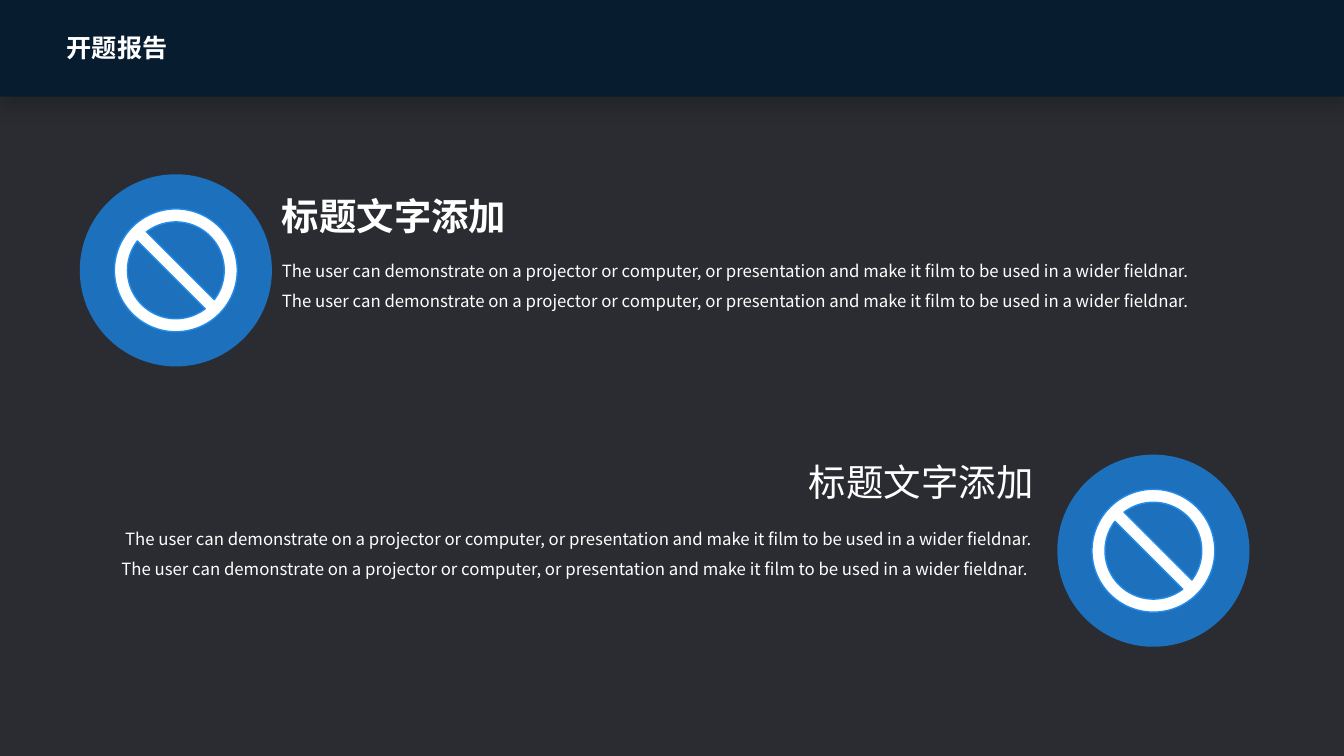
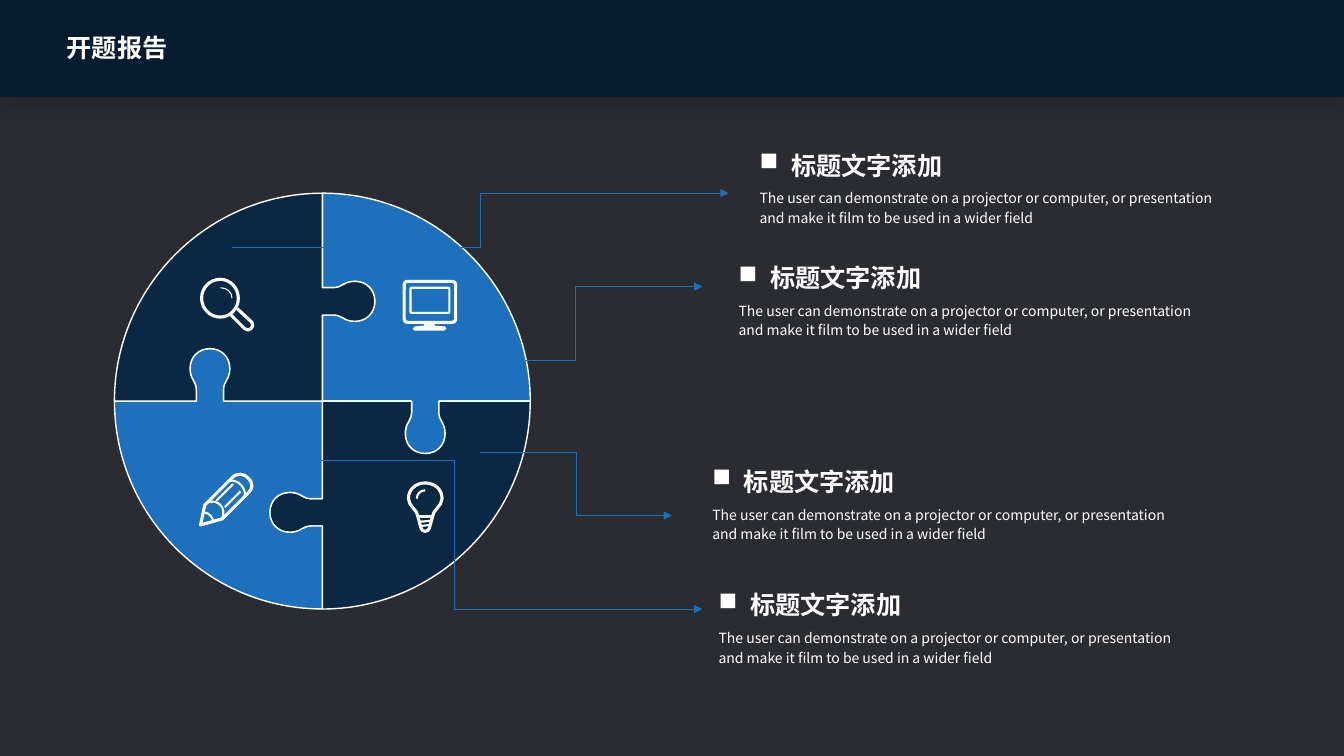
import math
from dataclasses import dataclass
from typing import Optional

import pptx
import pptx.dml.color
import pptx.enum.shapes
import pptx.enum.text
import pptx.oxml.ns
import pptx.util
from lxml import etree

PX = 9525  # EMU in one px
WIDTH, HEIGHT = 1280, 720
FONT = "Noto Sans CJK SC"
GROUND, BAND, NAVY, BLUE, EDGE, WHITE = "2B2C31", "071C2F", "0A2843", "1D70BB", "248BE8", "FFFFFF"

SHAPE = pptx.enum.shapes.MSO_SHAPE
ALIGN = pptx.enum.text.PP_ALIGN
qn = pptx.oxml.ns.qn

Point = tuple[float, float]
HEADING = "标题文字添加"
SENTENCE = ("The user can demonstrate on a projector or computer, or presentation "
            "and make it film to be used in a wider field")
FEATURE_BODY = f"{SENTENCE}nar. {SENTENCE}nar."


@dataclass(frozen=True)
class Feature:
    disc: Point
    heading: Point
    body: Point
    text: str
    align: Optional[ALIGN]
    bold: bool


@dataclass(frozen=True)
class Callout:
    text: Point
    start: Point
    end: Point


@dataclass(frozen=True)
class Quarter:
    """A puzzle piece, clockwise from its first seam, whose knob sits at the given distance."""
    knob: int
    color: str


@dataclass(frozen=True)
class Contour:
    """Segments of one point are straight, those of three points are cubic curves."""
    start: Point
    segments: tuple
    closed: bool = False


@dataclass(frozen=True)
class Stroke:
    width: int
    contours: list[Contour]


FEATURES = [
    Feature((76, 166), (259, 179), (259, 234), FEATURE_BODY, None, True),
    Feature((1007, 433), (760, 433), (95, 489), FEATURE_BODY + " ", ALIGN.RIGHT, False),
]
DISC, SIGN = 183, 117

CALLOUTS = [
    Callout((714, 138), (221, 236), (694, 184)),
    Callout((694, 245), (428, 343), (669, 273)),
    Callout((675, 557), (196, 438), (669, 580)),
    Callout((669, 439), (457, 431), (640, 491)),
]

CENTRE, RADIUS = (307, 382), 198
ARC = 0.55  # handle length of a quarter arc, in radii
QUARTERS = [Quarter(95, BLUE), Quarter(98, NAVY), Quarter(106, BLUE), Quarter(107, NAVY)]
# Half of a knob: (distance from its axis, height above the seam)
KNOB_START = (13, 0)
KNOB_SEGMENTS = (
    ((13, 10),),
    ((13, 14), (14, 17), (16, 20)),
    ((18, 23), (19, 27), (19, 31)),
    ((19, 42), (11, 50), (0, 50)),
)

ICON_STROKES = [
    # Magnifier
    Stroke(3, [
        Contour((192, 284), (((192, 274), (200, 266), (210, 266)), ((219, 266), (227, 274), (227, 284)),
                             ((227, 294), (219, 302), (210, 302)), ((200, 302), (192, 294), (192, 284))),
                True),
        Contour((226, 294), (((240, 307),), ((243, 311), (237, 317), (233, 313)), ((220, 300),))),
    ]),
    Stroke(1, [Contour((210, 274), (((216, 274), (221, 278), (221, 284)),))]),
    # Pencil
    Stroke(3, [
        Contour((191, 500), (((195, 481),), ((221, 455),), ((226, 450), (232, 451), (236, 455)),
                             ((241, 459), (241, 465), (237, 469)), ((212, 494),)), True),
    ]),
    Stroke(2, [
        Contour((195, 480), (((207, 473), (217, 484), (211, 495)),)),
        Contour((219, 458), (((226, 456), (235, 465), (233, 473)),)),
        Contour((206, 477), (((222, 461),),)),
        Contour((214, 483), (((229, 468),),)),
        Contour((194, 488), (((199, 488), (203, 493), (203, 497)),)),
    ]),
    # Light bulb
    Stroke(3, [
        Contour((398, 492), (((398, 486), (389, 482), (389, 475)), ((389, 466), (396, 460), (405, 460)),
                             ((414, 460), (421, 466), (421, 475)), ((421, 482), (412, 486), (412, 492)),
                             ((409, 503),), ((408, 507), (402, 507), (401, 503))), True),
        Contour((398, 492), (((412, 492),),)),
    ]),
    Stroke(2, [
        Contour((399, 497), (((411, 496),),)),
        Contour((401, 501), (((409, 500),),)),
        Contour((397, 475), (((397, 471), (400, 467), (405, 467)),)),
    ]),
]
MONITOR_STAND = Contour((404, 308), (
    ((404, 310),), ((395, 311),), ((393, 313),), ((395, 315),), ((423, 315),),
    ((425, 313),), ((424, 311),), ((414, 310),), ((414, 308),)), True)


def px(n: float) -> pptx.util.Emu:
    return pptx.util.Emu(round(n * PX))


def rgb(color: str) -> pptx.dml.color.RGBColor:
    return pptx.dml.color.RGBColor.from_string(color)


def paint(sp, fill: Optional[str], line: Optional[str] = None, width=pptx.util.Pt(1)) -> None:
    sp.shadow.inherit = False
    if fill:
        sp.fill.solid()
        sp.fill.fore_color.rgb = rgb(fill)
    else:
        sp.fill.background()
    if line:
        sp.line.color.rgb = rgb(line)
        sp.line.width = width
    else:
        sp.line.fill.background()


def add_preset(slide, kind: SHAPE, box: tuple, fill: Optional[str], line: Optional[str] = None,
               width=pptx.util.Pt(1), adjust: Optional[float] = None):
    sp = slide.shapes.add_shape(kind, *map(px, box))
    if adjust is not None:
        sp.adjustments[0] = adjust
    paint(sp, fill, line, width)
    return sp


def add_outline(slide, contours: list[Contour], fill: Optional[str], line: Optional[str] = None,
                width=pptx.util.Pt(1)) -> None:
    """Build a freeform through all points, then bend each three-point segment."""
    builder = slide.shapes.build_freeform(*map(px, contours[0].start))
    for i, contour in enumerate(contours):
        if i:
            builder.move_to(*map(px, contour.start))
        builder.add_line_segments([(px(x), px(y)) for s in contour.segments for x, y in s],
                                  close=contour.closed)
    sp = builder.convert_to_shape()
    corners = iter(list(sp._element.iter(qn("a:lnTo"))))
    for segment in (s for contour in contours for s in contour.segments):
        steps = [next(corners) for _ in segment]
        if len(steps) == 3:
            steps[0].addprevious(curve := etree.Element(qn("a:cubicBezTo")))
            for step in steps:
                curve.append(step[0])
                step.getparent().remove(step)
    paint(sp, fill, line, width)


def add_text(slide, box: tuple, text: str, size: float, bold: bool = False, wrap: bool = True,
             align: Optional[ALIGN] = None, spacing: Optional[float] = None,
             bullet: bool = False) -> None:
    tf = slide.shapes.add_textbox(*map(px, box)).text_frame
    tf.word_wrap = wrap
    tf.auto_size = pptx.enum.text.MSO_AUTO_SIZE.SHAPE_TO_FIT_TEXT
    p = tf.paragraphs[0]
    if align is not None:
        p.alignment = align
    if spacing:
        p.line_spacing = spacing
    if bullet:
        pPr = p._p.get_or_add_pPr()
        pPr.set("marL", str(px(30)))
        pPr.set("indent", str(px(-30)))
        # In this symbol font the letter n is a filled square
        etree.SubElement(pPr, qn("a:buFont"), typeface="Wingdings", charset="2")
        etree.SubElement(pPr, qn("a:buChar"), char="n")
    r = p.add_run()
    r.text = text
    r.font.size = pptx.util.Pt(size)
    r.font.bold = bold
    r.font.color.rgb = rgb(WHITE)
    r.font.name = FONT
    etree.SubElement(r._r.get_or_add_rPr(), qn("a:ea"), typeface=FONT)


def add_arrow(slide, start: Point, end: Point) -> None:
    kind = pptx.enum.shapes.MSO_CONNECTOR.ELBOW
    line = slide.shapes.add_connector(kind, *map(px, start + end))
    line.line.color.rgb = rgb(BLUE)
    line.line.width = pptx.util.Pt(0.5)
    etree.SubElement(line.line._get_or_add_ln(), qn("a:tailEnd"), type="triangle")
    etree.SubElement(line._element.spPr, qn("a:effectLst"))


def backwards(start: Point, segments: tuple) -> tuple[Point, tuple]:
    ends = [start, *(s[-1] for s in segments)]
    turned = tuple((*reversed(s[:-1]), ends[i]) for i, s in enumerate(segments))
    return ends[-1], turned[::-1]


def turn(index: int, point: Point) -> Point:
    """Place (distance along, distance clockwise of) a seam; index 0 points up."""
    angle = math.radians(90 * index - 90)
    c, s = round(math.cos(angle)), round(math.sin(angle))
    x, y = point
    return CENTRE[0] + x * c - y * s, CENTRE[1] + x * s + y * c


def seam(index: int) -> tuple:
    """The segments of a seam from the centre to the rim."""
    at = QUARTERS[index].knob
    rise = tuple(tuple((at - h, v) for h, v in s) for s in KNOB_SEGMENTS)
    _, falling = backwards(KNOB_START, KNOB_SEGMENTS)
    fall = tuple(tuple((at + h, v) for h, v in s) for s in falling)
    local = (((at - KNOB_START[0], 0),), *rise, *fall, ((RADIUS, 0),))
    return tuple(tuple(turn(index, p) for p in s) for s in local)


def add_quarter(slide, index: int) -> None:
    handle = RADIUS * ARC
    rim = tuple(turn(index, p) for p in ((RADIUS, handle), (handle, RADIUS), (0, RADIUS)))
    _, back = backwards(CENTRE, seam((index + 1) % len(QUARTERS)))
    outline = Contour(CENTRE, (*seam(index), rim, *back), True)
    add_outline(slide, [outline], QUARTERS[index].color, WHITE)


def add_icons(slide) -> None:
    for stroke in ICON_STROKES:
        add_outline(slide, stroke.contours, None, WHITE, px(stroke.width))
    add_preset(slide, SHAPE.ROUNDED_RECTANGLE, (385, 268, 49, 39), None, WHITE, px(3), 0.08)
    add_preset(slide, SHAPE.ROUNDED_RECTANGLE, (391, 274, 37, 24), None, WHITE, px(2), 0.04)
    add_outline(slide, [MONITOR_STAND], WHITE)


def add_base_slide(prs):
    """A slide with the shared background, header band and title."""
    slide = prs.slides.add_slide(prs.slide_layouts[6])
    slide.background.fill.solid()
    slide.background.fill.fore_color.rgb = rgb(GROUND)
    band = add_preset(slide, SHAPE.RECTANGLE, (0, 0, WIDTH, 92), BAND)
    effects = band._element.spPr.find(qn("a:effectLst"))
    shadow = etree.SubElement(effects, qn("a:outerShdw"), blurRad=str(pptx.util.Pt(14)),
                              dist=str(pptx.util.Pt(6)), dir="5400000", algn="t",
                              rotWithShape="0")
    color = etree.SubElement(shadow, qn("a:srgbClr"), val="000000")
    etree.SubElement(color, qn("a:alpha"), val="20000")
    add_text(slide, (54, 26, 115, 38), "开题报告", 18, bold=True, wrap=False)
    return slide


def build_features(prs) -> None:
    slide = add_base_slide(prs)
    inset = (DISC - SIGN) // 2
    for f in FEATURES:
        x, y = f.disc
        add_preset(slide, SHAPE.OVAL, (x, y, DISC, DISC), BLUE)
        add_preset(slide, SHAPE.NO_SYMBOL, (x + inset, y + inset, SIGN, SIGN), WHITE, EDGE,
                   adjust=0.106)
        add_text(slide, (*f.body, 898, 93), f.text, 12, align=f.align, spacing=1.5)
        add_text(slide, (*f.heading, 234, 53), HEADING, 26.7, f.bold, wrap=False, align=f.align)


def build_puzzle(prs) -> None:
    slide = add_base_slide(prs)
    for index in range(len(QUARTERS)):
        add_quarter(slide, index)
    add_icons(slide)
    for callout in CALLOUTS:
        x, y = callout.text
        add_arrow(slide, callout.start, callout.end)
        add_text(slide, (x, y, 224, 38), HEADING, 18, bold=True, bullet=True)
        add_text(slide, (x, y + 36, 473, 46), SENTENCE, 10, spacing=1.14)


def main() -> None:
    prs = pptx.Presentation()
    prs.slide_width, prs.slide_height = px(WIDTH), px(HEIGHT)
    build_features(prs)
    build_puzzle(prs)
    prs.save("out.pptx")


if __name__ == "__main__":
    main()
